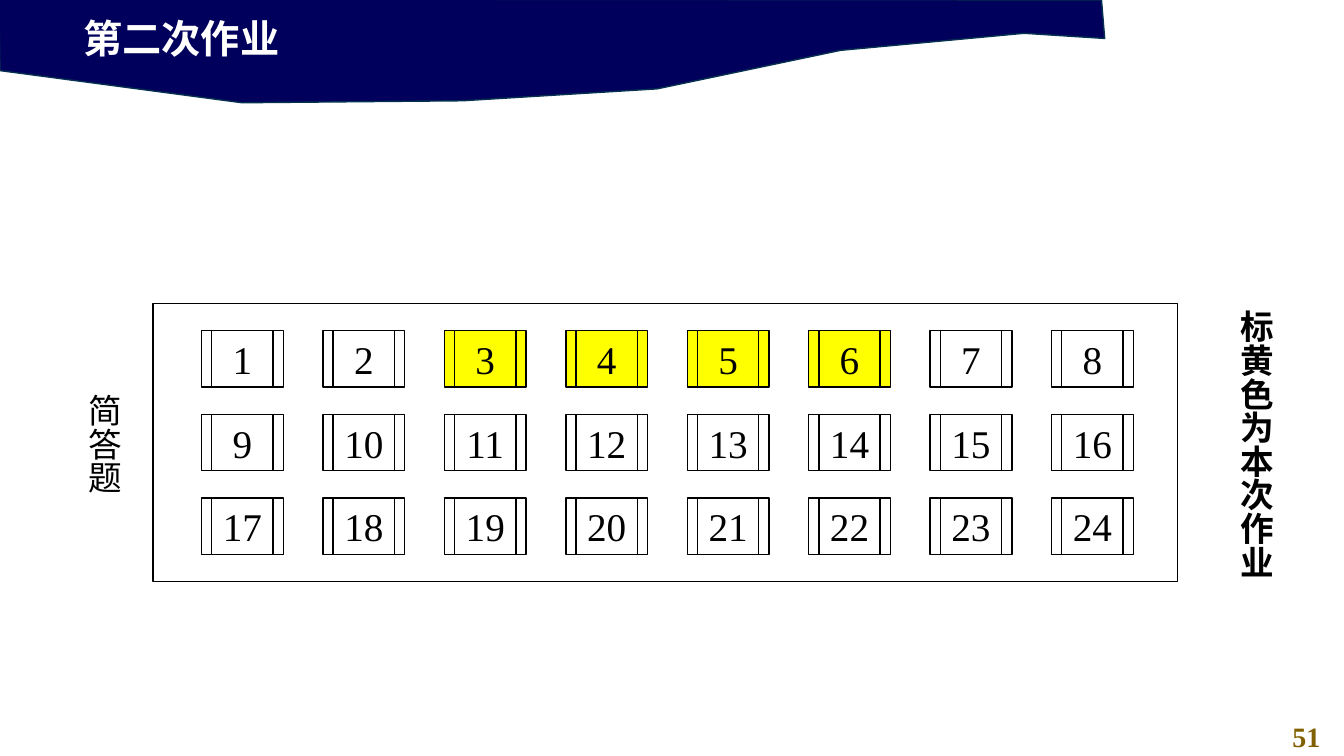
from dataclasses import dataclass

from pptx import Presentation
from pptx.dml.color import RGBColor
from pptx.enum.shapes import MSO_SHAPE
from pptx.enum.text import MSO_ANCHOR, MSO_AUTO_SIZE, PP_ALIGN
from pptx.shapes.autoshape import Shape
from pptx.slide import Slide
from pptx.util import Cm, Pt

NAVY = RGBColor(0x00, 0x00, 0x5C)
NAVY_EDGE = RGBColor(0x05, 0x30, 0x4F)
BLACK = RGBColor(0x00, 0x00, 0x00)
WHITE = RGBColor(0xFF, 0xFF, 0xFF)
YELLOW = RGBColor(0xFF, 0xFF, 0x00)
BRONZE = RGBColor(0x80, 0x60, 0x00)

RECT = MSO_SHAPE.RECTANGLE
PROCESS = MSO_SHAPE.FLOWCHART_PREDEFINED_PROCESS
TOP, MIDDLE = MSO_ANCHOR.TOP, MSO_ANCHOR.MIDDLE
LEFT, CENTER = PP_ALIGN.LEFT, PP_ALIGN.CENTER
GROW = MSO_AUTO_SIZE.SHAPE_TO_FIT_TEXT

FONT = "Times New Roman"
TITLE_LAYOUT = 5

# Lengths in centimetres
BANNER = [(-0.03, -0.03), (0, 1.78), (6.1, 2.59), (11.66, 2.54), (16.56, 2.24),
          (21.18, 1.27), (25.81, 0.84), (27.84, 0.97), (27.76, 0)]
COLUMNS, ROWS = 8, 3
GRID_LEFT, GRID_TOP = 5.08, 8.33
PITCH_X, PITCH_Y = 3.06, 2.11
CELL_W, CELL_H = 2.06, 1.42
ASSIGNED = range(3, 7)


@dataclass
class Box:
    left: float
    top: float
    width: float
    height: float

    def lengths(self) -> tuple[Cm, Cm, Cm, Cm]:
        return Cm(self.left), Cm(self.top), Cm(self.width), Cm(self.height)


@dataclass
class Label:
    text: str
    box: Box
    size: int
    color: RGBColor = BLACK
    bold: bool = False
    align: PP_ALIGN = LEFT
    vertical: bool = False


LABELS = [
    Label("简答题", Box(1.7, 9.68, 1.55, 2.82), 24, vertical=True),
    Label("标黄色为本次作业", Box(30.73, 7.57, 1.55, 7.09), 24, bold=True,
          vertical=True),
    Label("51", Box(32, 18.01, 1.85, 1.12), 20, BRONZE, True, CENTER),
]


def write(sp: Shape, text: str, size: int, color: RGBColor,
          bold: bool, align: PP_ALIGN) -> None:
    p = sp.text_frame.paragraphs[0]
    p.text = text
    p.alignment = align
    p.font.name = FONT
    p.font.size = Pt(size)
    p.font.bold = bold
    p.font.color.rgb = color


def paint(sp: Shape, fill: RGBColor | None, line: RGBColor) -> None:
    sp.shadow.inherit = False
    if fill is None:
        sp.fill.background()
    else:
        sp.fill.solid()
        sp.fill.fore_color.rgb = fill
    sp.line.color.rgb = line
    sp.line.width = Pt(1)


def add_title(slide: Slide, text: str) -> None:
    sp = slide.shapes.title
    sp.left, sp.top, sp.width, sp.height = Box(1.85, 0.23, 19.51, 1.45).lengths()
    tf = sp.text_frame
    tf.vertical_anchor = TOP
    tf.auto_size = GROW
    write(sp, text, 28, WHITE, True, LEFT)


def add_banner(slide: Slide) -> None:
    start, *rest = [(Cm(x), Cm(y)) for x, y in BANNER]
    builder = slide.shapes.build_freeform(*start)
    builder.add_line_segments(rest, close=True)
    sp = builder.convert_to_shape()
    paint(sp, NAVY, NAVY_EDGE)
    # The banner lies behind the title
    slide.shapes.title.element.addprevious(sp.element)


def add_question(slide: Slide, number: int) -> None:
    row, column = divmod(number - 1, COLUMNS)
    box = Box(GRID_LEFT + column * PITCH_X, GRID_TOP + row * PITCH_Y,
              CELL_W, CELL_H)
    sp = slide.shapes.add_shape(PROCESS, *box.lengths())
    paint(sp, YELLOW if number in ASSIGNED else None, BLACK)
    tf = sp.text_frame
    tf.vertical_anchor = MIDDLE
    tf.margin_left = tf.margin_right = tf.margin_top = tf.margin_bottom = 0
    write(sp, str(number), 28, BLACK, False, CENTER)


def add_label(slide: Slide, label: Label) -> None:
    sp = slide.shapes.add_textbox(*label.box.lengths())
    tf = sp.text_frame
    tf.word_wrap = not label.vertical
    tf.auto_size = GROW
    if label.vertical:
        tf._txBody.bodyPr.set("vert", "eaVert")
    write(sp, label.text, label.size, label.color, label.bold, label.align)


def main() -> None:
    prs = Presentation()
    prs.slide_width, prs.slide_height = Cm(33.87), Cm(19.05)
    slide = prs.slides.add_slide(prs.slide_layouts[TITLE_LAYOUT])

    # Header
    add_title(slide, "第二次作业")
    add_banner(slide)

    # Question grid and its frame
    frame = slide.shapes.add_shape(RECT, *Box(3.86, 7.65, 25.81, 7.01).lengths())
    paint(frame, None, BLACK)
    for number in range(1, COLUMNS * ROWS + 1):
        add_question(slide, number)

    # Side labels and page number
    for label in LABELS:
        add_label(slide, label)

    prs.save("out.pptx")


if __name__ == "__main__":
    main()
